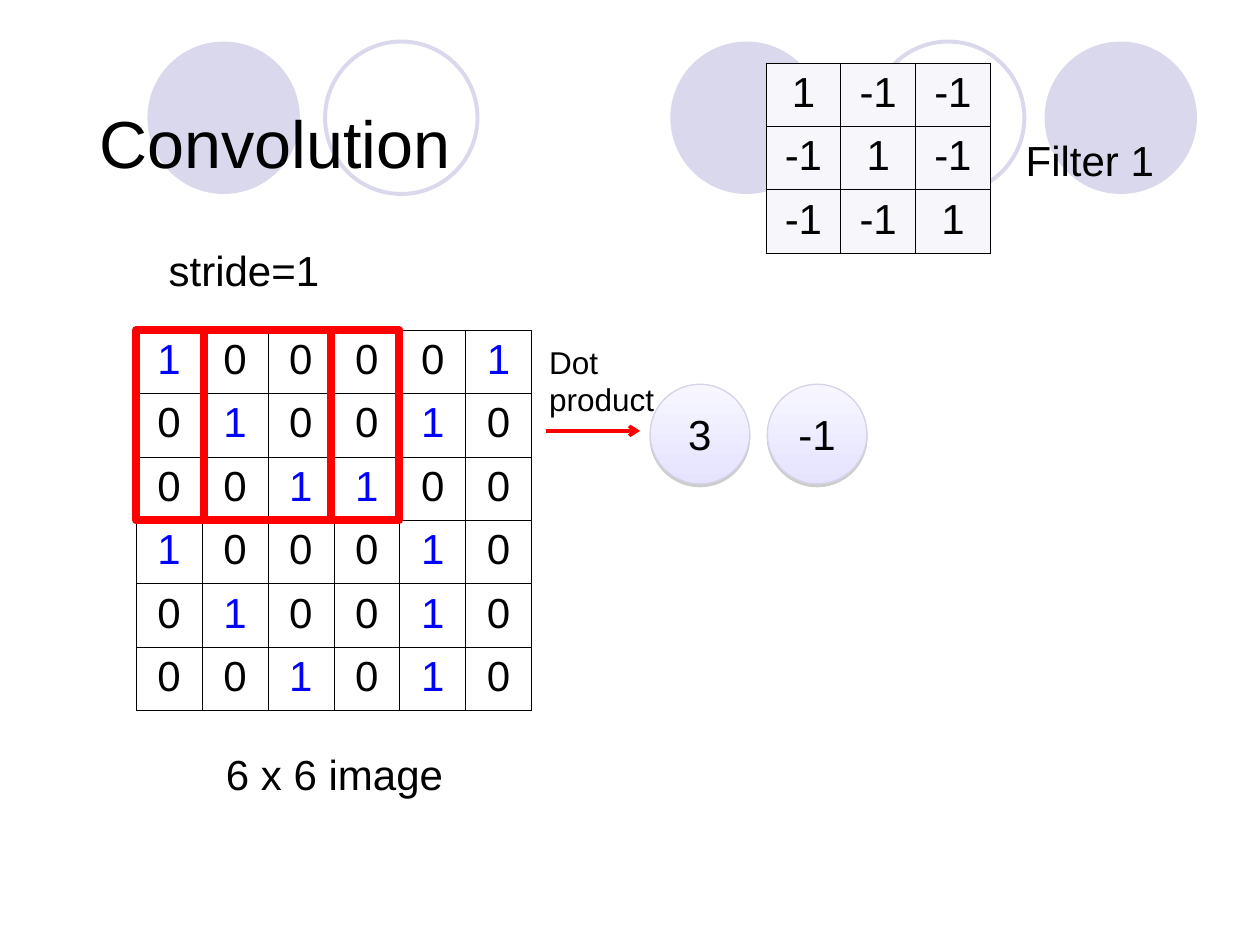
import lxml.etree
import pptx
import pptx.dml.color
import pptx.enum.shapes
import pptx.enum.text
import pptx.oxml
import pptx.oxml.ns
import pptx.util
from pptx.util import Inches

BLACK = pptx.dml.color.RGBColor(0x00, 0x00, 0x00)
BLUE = pptx.dml.color.RGBColor(0x00, 0x00, 0xFF)
RED = pptx.dml.color.RGBColor(0xFF, 0x00, 0x00)
LAVENDER = pptx.dml.color.RGBColor(0xD9, 0xD8, 0xEC)
PALE = pptx.dml.color.RGBColor(0xF7, 0xF7, 0xFB)
GRADIENT_TOP = pptx.dml.color.RGBColor(0xF7, 0xF6, 0xFF)
GRADIENT_BOTTOM = pptx.dml.color.RGBColor(0xE5, 0xE3, 0xFF)
RESULT_LINE = pptx.dml.color.RGBColor(0xD4, 0xD3, 0xE7)

NAMESPACE = pptx.oxml.ns.nsdecls("a")
CENTER = pptx.enum.text.PP_ALIGN.CENTER
LEFT = pptx.enum.text.PP_ALIGN.LEFT
MIDDLE = pptx.enum.text.MSO_ANCHOR.MIDDLE
FIT_SHAPE = pptx.enum.text.MSO_AUTO_SIZE.SHAPE_TO_FIT_TEXT
OVAL = pptx.enum.shapes.MSO_SHAPE.OVAL
RECTANGLE = pptx.enum.shapes.MSO_SHAPE.RECTANGLE

presentation = pptx.Presentation()
presentation.slide_width = Inches(10)
presentation.slide_height = Inches(7.5)
slide = presentation.slides.add_slide(presentation.slide_layouts[6])
shapes = slide.shapes


def write_text(text_frame, text, size=24, color=BLACK, alignment=CENTER):
    text_frame.text = text
    for paragraph in text_frame.paragraphs:
        paragraph.alignment = alignment
        paragraph.font.name = "Arial"
        paragraph.font.size = pptx.util.Pt(size)
        paragraph.font.color.rgb = color


def add_matrix(values, left, top, width, height, one_color, fill_color=None):
    table = shapes.add_table(len(values), len(values[0]), Inches(left), Inches(top),
                             Inches(width), Inches(height)).table
    table.first_row = False
    table.horz_banding = False
    for row, row_values in enumerate(values):
        for column, value in enumerate(row_values):
            cell = table.cell(row, column)
            write_text(cell.text_frame, str(value), color=one_color if value == 1 else BLACK)
            properties = cell._tc.get_or_add_tcPr()
            for side in ("lnL", "lnR", "lnT", "lnB"):
                properties.append(pptx.oxml.parse_xml(
                    f'<a:{side} {NAMESPACE} w="5715"><a:solidFill>'
                    f'<a:srgbClr val="{BLACK}"/></a:solidFill></a:{side}>'))
            if fill_color is None:
                cell.fill.background()
            else:
                cell.fill.solid()
                cell.fill.fore_color.rgb = fill_color


# Background circles
for left, filled in ((5.32, True), (8.29, True), (1.17, True), (6.92, False), (2.58, False)):
    circle = shapes.add_shape(OVAL, Inches(left), Inches(0.33), Inches(1.21), Inches(1.21))
    circle.shadow.inherit = False
    if filled:
        circle.fill.solid()
        circle.fill.fore_color.rgb = LAVENDER
        circle.line.fill.background()
    else:
        circle.fill.background()
        circle.line.color.rgb = LAVENDER
        circle.line.width = pptx.util.Pt(2.25)

# Image and filter matrices
IMAGE = [
    [1, 0, 0, 0, 0, 1],
    [0, 1, 0, 0, 1, 0],
    [0, 0, 1, 1, 0, 0],
    [1, 0, 0, 0, 1, 0],
    [0, 1, 0, 0, 1, 0],
    [0, 0, 1, 0, 1, 0],
]
FILTER = [[1 if row == column else -1 for column in range(3)] for row in range(3)]
add_matrix(IMAGE, 1.08, 2.62, 3.14, 3.02, BLUE)
add_matrix(FILTER, 6.08, 0.5, 1.78, 1.51, BLACK, PALE)

# Title and labels
for text, left, top, width, height, size, alignment, wrap in (
    ("Convolution", 0.69, 0.4, 8.63, 1.45, 38, LEFT, True),
    ("6 x 6 image", 1.37, 5.89, 2.57, 0.5, 24, CENTER, True),
    ("Filter 1", 7.86, 1.02, 1.58, 0.5, 24, CENTER, True),
    ("stride=1", 1.24, 1.89, 1.42, 0.5, 24, LEFT, False),
    ("Dot\nproduct", 4.26, 2.67, 1.06, 0.7, 18, LEFT, False),
):
    label = shapes.add_textbox(Inches(left), Inches(top), Inches(width), Inches(height))
    label.text_frame.word_wrap = wrap
    if not wrap:
        label.text_frame.auto_size = FIT_SHAPE
    label.text_frame.vertical_anchor = MIDDLE
    write_text(label.text_frame, text, size, alignment=alignment)

# Two positions of the sliding window
for left in (1.08, 1.62):
    window = shapes.add_shape(RECTANGLE, Inches(left), Inches(2.62), Inches(1.55), Inches(1.51))
    window.shadow.inherit = False
    window.fill.background()
    window.line.color.rgb = RED
    window.line.width = pptx.util.Pt(4.5)

# Dot product results
for text, left in (("3", 5.16), ("-1", 6.09)):
    result = shapes.add_shape(OVAL, Inches(left), Inches(3.05), Inches(0.79), Inches(0.79))
    result.fill.gradient()
    result.fill.gradient_angle = 270
    for stop, color in zip(result.fill.gradient_stops, (GRADIENT_TOP, GRADIENT_BOTTOM)):
        stop.color.rgb = color
    result.line.color.rgb = RESULT_LINE
    result.line.width = pptx.util.Pt(0.75)
    result._element.spPr.append(pptx.oxml.parse_xml(
        f'<a:effectLst {NAMESPACE}><a:outerShdw dist="20320" dir="5400000" rotWithShape="0">'
        '<a:srgbClr val="808080"><a:alpha val="38000"/></a:srgbClr></a:outerShdw></a:effectLst>'))
    result.text_frame.vertical_anchor = MIDDLE
    write_text(result.text_frame, text)

# Arrow from the image to the results
arrow = shapes.add_connector(pptx.enum.shapes.MSO_CONNECTOR.STRAIGHT,
                             Inches(4.33), Inches(3.42), Inches(5.08), Inches(3.42))
arrow.line.color.rgb = RED
arrow.line.width = pptx.util.Pt(2)
lxml.etree.SubElement(arrow.line._get_or_add_ln(), pptx.oxml.ns.qn("a:tailEnd"), type="arrow")
lxml.etree.SubElement(arrow._element.spPr, pptx.oxml.ns.qn("a:effectLst"))

presentation.save("out.pptx")
